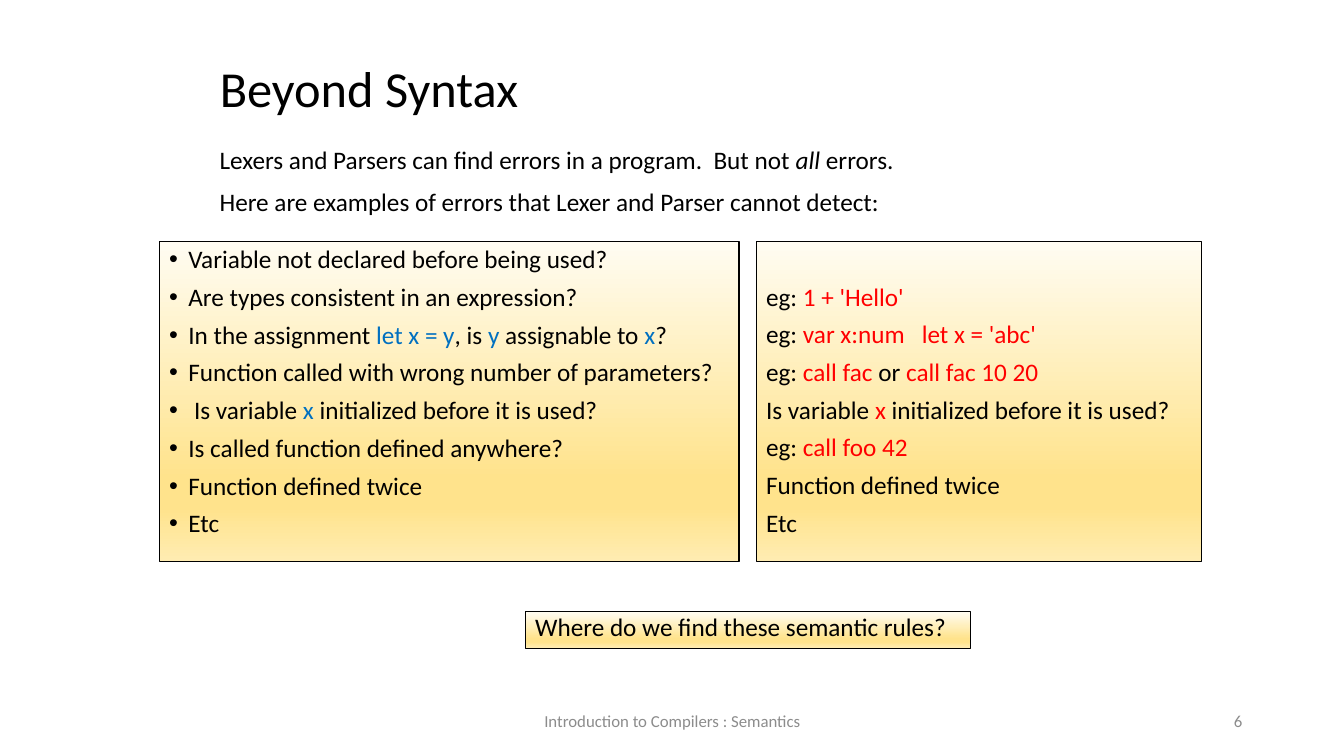
from lxml.etree import SubElement
from pptx import Presentation
from pptx.dml.color import RGBColor
from pptx.enum.shapes import MSO_SHAPE
from pptx.enum.text import MSO_ANCHOR, MSO_AUTO_SIZE, PP_ALIGN
from pptx.oxml.ns import qn
from pptx.util import Inches, Pt

COLORS = {"text": "000000", "code": "0070C0", "example": "FF0000", "footer": "8C8C8C"}
PANEL_STOPS = [(0, "FFFCF2"), (74, "FFE38C"), (83, "FFE38C"), (100, "FFECB2")]


class SlideBuilder:
    """Holds the text style and the current slide, and adds each kind of element."""

    font = "Calibri"

    def __init__(self, slide):
        self.slide = slide

    def fill_text(self, shape, lines, size=18, color="text", accent=None, italic=False,
                  align=PP_ALIGN.LEFT, anchor=MSO_ANCHOR.TOP, spacing=0.9, before=0,
                  bulleted=False):
        """Set lines in which every second part between bars is accented."""
        frame = shape.text_frame
        frame.word_wrap = True
        frame.auto_size = MSO_AUTO_SIZE.NONE
        frame.vertical_anchor = anchor
        frame.text = "\n".join(lines)
        for paragraph, line in zip(frame.paragraphs, lines):
            paragraph.text = ""
            paragraph.alignment = align
            paragraph.line_spacing = spacing
            paragraph.space_before = Pt(before)
            if bulleted:
                self.bullet(paragraph)
            for index, part in enumerate(line.split("|")):
                accented = index % 2 == 1
                run = paragraph.add_run()
                run.text = part
                run.font.name = self.font
                run.font.size = Pt(size)
                run.font.italic = accented and italic
                shade = accent if accented and accent else color
                run.font.color.rgb = RGBColor.from_string(COLORS[shade])

    def bullet(self, paragraph):
        """Give a paragraph a hanging round bullet."""
        properties = paragraph._p.get_or_add_pPr()
        properties.set("marL", str(Inches(0.19)))
        properties.set("indent", str(-Inches(0.19)))
        SubElement(properties, qn("a:buFont"), typeface="Arial")
        SubElement(properties, qn("a:buChar"), char="•")

    def title(self, text, left, top, width, height):
        """Place and format the title placeholder."""
        heading = self.slide.shapes.title
        heading.left, heading.top = Inches(left), Inches(top)
        heading.width, heading.height = Inches(width), Inches(height)
        self.fill_text(heading, [text], size=36, anchor=MSO_ANCHOR.MIDDLE)

    def text(self, lines, left, top, width, height, **style):
        """Add a plain text box."""
        box = self.slide.shapes.add_textbox(
            Inches(left), Inches(top), Inches(width), Inches(height))
        self.fill_text(box, lines, **style)

    def panel(self, lines, left, top, width, height, inset=0.05, **style):
        """Add an outlined rectangle with a vertical gradient."""
        panel = self.slide.shapes.add_shape(
            MSO_SHAPE.RECTANGLE, Inches(left), Inches(top), Inches(width), Inches(height))
        panel.shadow.inherit = False
        panel.line.color.rgb = RGBColor.from_string(COLORS["text"])
        panel.line.width = Pt(0.75)
        panel.fill.gradient()
        panel.fill.gradient_angle = 270
        stops = panel._element.spPr.find(qn("a:gradFill")).find(qn("a:gsLst"))
        for stop in list(stops):
            stops.remove(stop)
        for percent, shade in PANEL_STOPS:
            stop = SubElement(stops, qn("a:gs"), pos=str(percent * 1000))
            SubElement(stop, qn("a:srgbClr"), val=shade)
        panel.text_frame.margin_top = Inches(inset)
        self.fill_text(panel, lines, before=7.5, **style)


deck = Presentation()
deck.slide_width, deck.slide_height = Inches(13.33), Inches(7.5)
builder = SlideBuilder(deck.slides.add_slide(deck.slide_layouts[5]))

builder.title("Beyond Syntax", 2.08, 0.5, 8.62, 0.8)
builder.text([
    "Lexers and Parsers can find errors in a program.  But not |all |errors.",
    "Here are examples of errors that Lexer and Parser cannot detect:",
], 2.08, 1.42, 7.17, 0.87, italic=True, before=10)

builder.panel([
    "Variable not declared before being used?",
    "Are types consistent in an expression?",
    "In the assignment |let x = y|, is |y| assignable to |x|?",
    "Function called with wrong number of parameters?",
    " Is variable |x| initialized before it is used?",
    "Is called function defined anywhere?",
    "Function defined twice",
    "Etc",
], 1.58, 2.4, 5.75, 3.17, accent="code", bulleted=True)

builder.panel([
    "eg: |1 + 'Hello'",
    "eg: |var x:num   let x = 'abc'",
    "eg: |call fac| or |call fac 10 20",
    "Is variable |x| initialized before it is used?",
    "eg: |call foo 42",
    "Function defined twice",
    "Etc",
], 7.5, 2.4, 4.42, 3.17, inset=0.42, accent="example")

builder.panel(["Where do we find these semantic rules?"], 5.21, 6.07, 4.42, 0.36, spacing=0.8)

footer_style = dict(size=12, color="footer", anchor=MSO_ANCHOR.MIDDLE, spacing=1.0)
builder.text(["Introduction to Compilers : Semantics"], 4.42, 6.95, 4.5, 0.4,
             align=PP_ALIGN.CENTER, **footer_style)
builder.text(["6"], 9.42, 6.95, 3, 0.4, align=PP_ALIGN.RIGHT, **footer_style)

deck.save("out.pptx")
